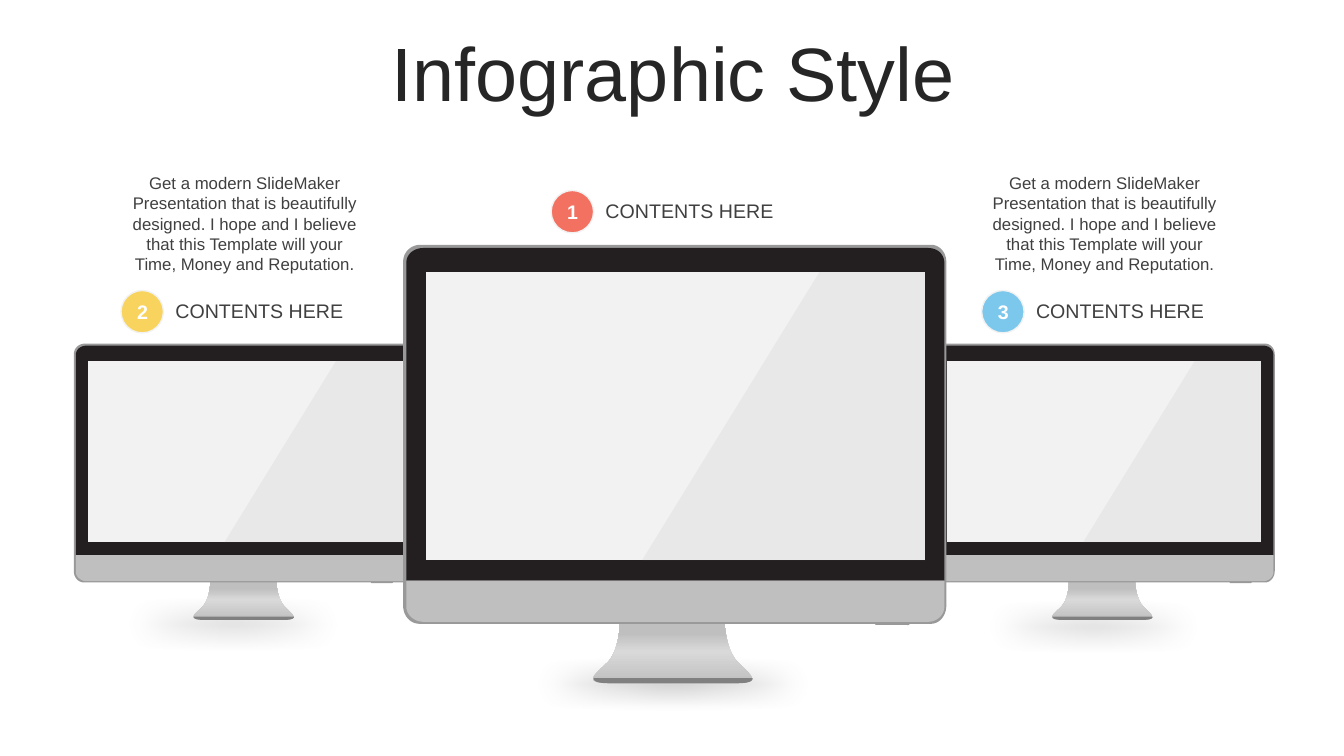
from lxml import etree
from pptx import Presentation
from pptx.dml.color import RGBColor
from pptx.enum import shapes, text
from pptx.oxml import ns
from pptx.util import Cm, Pt

WHITE = RGBColor(0xFF, 0xFF, 0xFF)
PALE = RGBColor(0xF2, 0xF2, 0xF2)
LIGHT = RGBColor(0xD9, 0xD9, 0xD9)
SILVER = RGBColor(0xBF, 0xBF, 0xBF)
STEEL = RGBColor(0x99, 0x99, 0x99)
GREY = RGBColor(0x80, 0x80, 0x80)
DARK = RGBColor(0x40, 0x40, 0x40)
INK = RGBColor(0x26, 0x26, 0x26)
BLACK = RGBColor(0x23, 0x1F, 0x20)
RED = RGBColor(0xF2, 0x71, 0x61)
YELLOW = RGBColor(0xF8, 0xD4, 0x5E)
BLUE = RGBColor(0x7C, 0xC8, 0xEC)

STAND = [(8.41, 10.49), (8.13, 10.19, 8.1, 9.53, 8.1, 9.53), (5.46, 9.53),
         (5.46, 9.53, 5.46, 10.16, 5.18, 10.49),
         (4.88, 10.8, 4.45, 11.05, 5.21, 11.05), (8.36, 11.05),
         (9.14, 11.05, 8.69, 10.8, 8.41, 10.49)]
CASE = [(13.31, 0), (0.43, 0), (0.2, 0, 0, 0.18, 0, 0.43), (0, 9.09),
        (0, 9.35, 0.18, 9.55, 0.41, 9.55), (13.31, 9.55),
        (13.51, 9.55, 13.69, 9.35, 13.69, 9.09), (13.69, 0.43),
        (13.69, 0.18, 13.51, 0, 13.31, 0)]
PORT = [(11.89, 9.5), (11.89, 9.5, 11.86, 9.58, 11.94, 9.58), (12.7, 9.58),
        (12.7, 9.58, 12.78, 9.6, 12.78, 9.5)]
BEZEL = [(0.08, 8.46), (0.08, 0.46), (0.08, 0.23, 0.28, 0.08, 0.51, 0.08),
         (13.23, 0.08), (13.46, 0.08, 13.64, 0.23, 13.64, 0.46), (13.64, 8.46)]
FOOT = [(4.8, 10.92), (4.8, 11, 4.9, 11.05, 5.23, 11.05), (8.38, 11.05),
        (8.71, 11.05, 8.81, 11, 8.81, 10.92)]
CHIN = [(0.08, 8.46), (0.08, 9.12), (0.08, 9.32, 0.28, 9.5, 0.51, 9.5),
        (13.23, 9.5), (13.46, 9.5, 13.64, 9.32, 13.64, 9.12), (13.64, 8.46)]
SCREEN = [(0.58, 0.69), (13.15, 0.69), (13.15, 7.95), (0.58, 7.95)]
GLARE = [(10.49, 0.69), (13.15, 0.69), (13.15, 7.95), (6.02, 7.95)]
PARTS = [(STAND, SILVER), (CASE, STEEL), (PORT, STEEL), (BEZEL, BLACK),
         (FOOT, GREY), (CHIN, SILVER), (SCREEN, PALE), (GLARE, STEEL)]
STOPS = [(0, SILVER), (53, LIGHT), (83, SILVER), (100, SILVER)]
BLURB = ("Get a modern SlideMaker Presentation that is beautifully designed. "
         "I hope and I believe that this Template will your Time, Money and Reputation.")


def sub(parent, tag, **attrs):
    """Append a drawing element with the given attributes."""
    node = etree.SubElement(parent, ns.qn("a:" + tag))
    for key, val in attrs.items():
        node.set(key, str(val))
    return node


def paint(shape, color):
    """Give a shape a plain fill without line or shadow."""
    shape.shadow.inherit = False
    shape.fill.solid()
    shape.fill.fore_color.rgb = color
    shape.line.fill.background()


def trace(path, steps=12):
    """Turn line and curve steps into a list of points."""
    points = [path[0]]
    for step in path[1:]:
        if len(step) == 2:
            points.append(step)
            continue
        ends = [points[-1], step[:2], step[2:4], step[4:]]
        for i in range(1, steps + 1):
            t = i / steps
            mix = ((1 - t) ** 3, 3 * t * (1 - t) ** 2, 3 * t * t * (1 - t), t ** 3)
            points.append(tuple(sum(m * e[k] for m, e in zip(mix, ends)) for k in (0, 1)))
    return points


def blend(shape):
    """Fill a shape with the upright metal gradient."""
    shape.fill.gradient()
    shape.fill.gradient_angle = 90
    stops = shape.fill.gradient_stops[0]._gs.getparent()
    for old in list(stops):
        stops.remove(old)
    for pos, color in STOPS:
        sub(sub(stops, "gs", pos=pos * 1000), "srgbClr", val=color)


def add_screen(slide, left, top, scale):
    """Draw one desktop monitor as a group."""
    group = slide.shapes.add_group_shape()
    for path, color in PARTS:
        points = [(Cm(left + x * scale), Cm(top + y * scale)) for x, y in trace(path)]
        form = group.shapes.build_freeform(*points[0])
        form.add_line_segments(points[1:], close=True)
        shape = form.convert_to_shape()
        paint(shape, color)
        if path is STAND:
            blend(shape)
        elif path is GLARE:
            for node in shape._element.spPr.iter(ns.qn("a:srgbClr")):
                sub(node, "alpha", val=10000)


def add_shade(slide, left, top, width, height):
    """Draw a soft floor shadow."""
    oval = slide.shapes.add_shape(
        shapes.MSO_SHAPE.OVAL, Cm(left), Cm(top), Cm(width), Cm(height))
    paint(oval, GREY)
    effects = oval._element.spPr.find(ns.qn("a:effectLst"))
    sub(effects, "softEdge", rad=Cm(0.62))


def write(shape, words, size, color, align, bold=False):
    """Set and format the text of a shape."""
    frame = shape.text_frame
    frame.text = words
    frame.word_wrap = True
    frame.vertical_anchor = text.MSO_ANCHOR.MIDDLE
    para = frame.paragraphs[0]
    para.alignment = align
    font = para.runs[0].font
    font.name, font.size, font.bold = "Arial", Pt(size), bold
    font.color.rgb = color
    return para


def add_text(parent, box, words, size, color, align):
    """Add a wrapped text box."""
    shape = parent.shapes.add_textbox(*map(Cm, box))
    return write(shape, words, size, color, align)


def add_label(slide, num, left, top, color):
    """Add a numbered dot with its heading."""
    group = slide.shapes.add_group_shape()
    dot = group.shapes.add_shape(
        shapes.MSO_SHAPE.OVAL, Cm(left), Cm(top), Cm(1.07), Cm(1.07))
    paint(dot, color)
    dot.line.color.rgb = PALE
    dot.line.width = Pt(1)
    write(dot, num, 14, WHITE, text.PP_ALIGN.CENTER, True)
    para = add_text(group, (left + 1.12, top + 0.04, 5.13, 0.99), "CONTENTS HERE",
                    14, DARK, text.PP_ALIGN.LEFT)
    para.line_spacing = 0.9


def main():
    """Build the slide and save it."""
    deck = Presentation()
    deck.slide_width, deck.slide_height = Cm(33.87), Cm(19.05)
    slide = deck.slides.add_slide(deck.slide_layouts[6])
    add_shade(slide, -0.86, 15.04, 13.44, 1.37)
    add_shade(slide, 20.83, 15.11, 13.44, 1.37)
    add_shade(slide, 9.88, 16.51, 14.12, 1.42)
    add_screen(slide, 1.86, 8.66, 0.63)
    add_screen(slide, 23.5, 8.66, 0.63)
    add_screen(slide, 10.16, 6.17, 1)
    title = add_text(slide, (0.89, 0.94, 32.16, 2.01), "Infographic Style",
                     54, INK, text.PP_ALIGN.CENTER)
    title.line_spacing = 0.9
    add_label(slide, "2", 3.05, 7.32, YELLOW)
    add_label(slide, "1", 13.89, 4.8, RED)
    add_label(slide, "3", 24.74, 7.32, BLUE)
    for left in (2.92, 24.59):
        add_text(slide, (left, 4.22, 6.5, 2.82), BLURB, 12, DARK, text.PP_ALIGN.CENTER)
    deck.save("out.pptx")


if __name__ == "__main__":
    main()
